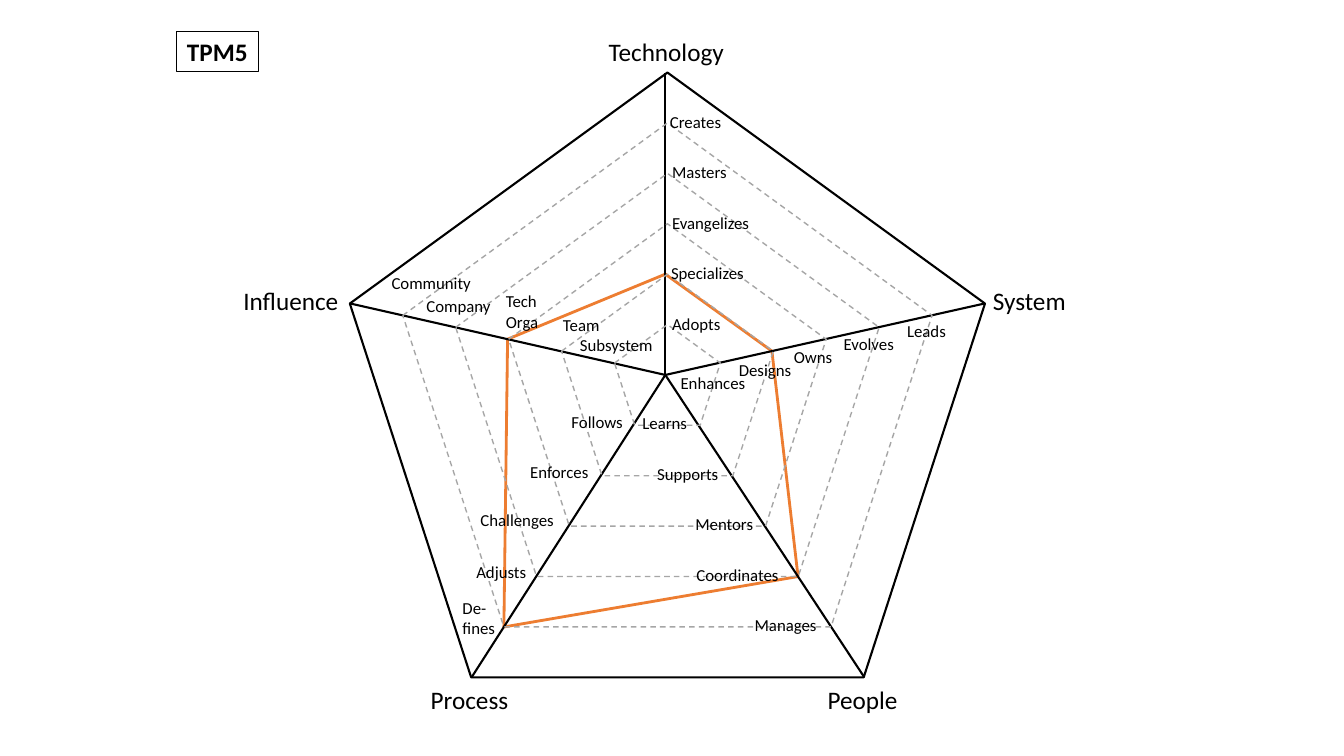
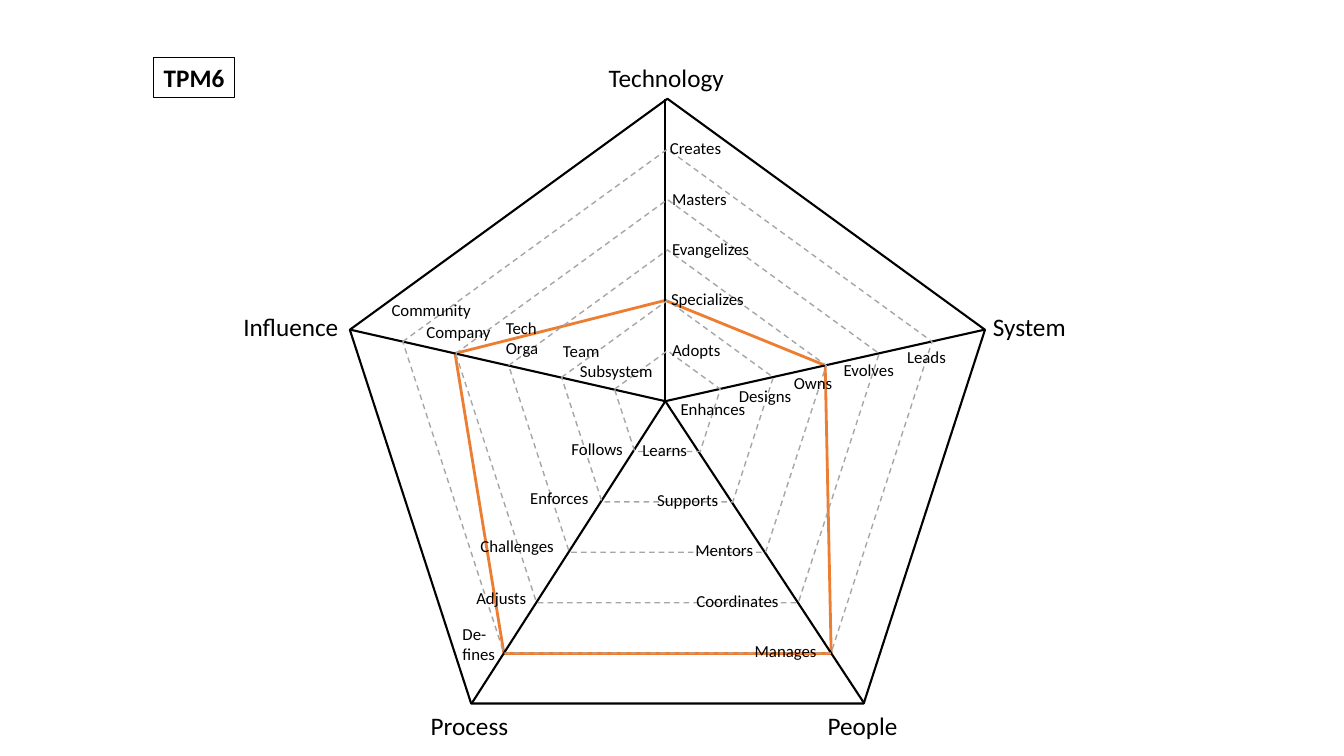
from lxml.etree import SubElement
from pptx import Presentation
from pptx.dml.color import RGBColor
from pptx.enum.dml import MSO_LINE as Dash
from pptx.enum.shapes import MSO_CONNECTOR as Link, MSO_SHAPE as Form
from pptx.enum.text import MSO_ANCHOR as Anchor, MSO_AUTO_SIZE as Fit, PP_ALIGN as Align
from pptx.oxml.ns import qn
from pptx.util import Inches, Pt

WIDE, HIGH = 13.33, 7.5
BLACK, GREY, ORANGE = "000000", "A6A6A6", "ED7D31"
FONT = "Calibri"
LEVELS = 6
COL, ROW = 1.05, 1
LEFT = 3.47
HUB = (2.98, 3)
TIPS = [(2.98, 0), (6, 2.29), (4.86, 6), (1.15, 6), (0, 2.29)]

AXES = [
    ("Technology", 2.35, -0.41, 1.3),
    ("System", 5.98, 2.06, 0.89),
    ("People", 4.42, 6.02, 0.86),
    ("Process", 0.67, 6.02, 0.93),
    ("Influence", -1.1, 2.06, 1.1),
]


def steps(start, gap):
    return [start + gap * i for i in range(LEVELS - 1)]


SCALES = [
    (steps(2.34, -0.5), [
        ("Adopts", 2.95, 0.66), ("Specializes", 2.94, 0.89),
        ("Evangelizes", 2.95, 0.92), ("Masters", 2.95, 0.71),
        ("Creates", 2.93, 0.69)]),
    (steps(2.93, -0.13), [
        ("Enhances", 3.03, 0.81), ("Designs", 3.58, 0.7),
        ("Owns", 4.1, 0.56), ("Evolves", 4.57, 0.68),
        ("Leads", 5.17, 0.56)]),
    (steps(3.33, 0.5), [
        ("Learns", 2.67, 0.62), ("Supports", 2.81, 0.77),
        ("Mentors", 3.17, 0.74), ("Coordinates", 3.18, 0.97),
        ("Manages", 3.73, 0.78)]),
    ([3.32, 3.81, 4.29, 4.8, 5.16], [
        ("Follows", 2, 0.69), ("Enforces", 1.61, 0.75),
        ("Challenges", 1.14, 0.9), ("Adjusts", 1.1, 0.67),
        ("De-\nfines", 0.97, 0.5)]),
    ([2.55, 2.35, 2.12, 2.16, 1.94], [
        ("Subsystem", 2.08, 0.89), ("Team", 1.92, 0.54),
        ("Tech\nOrga", 1.38, 0.52), ("Company", 0.63, 0.8),
        ("Community", 0.3, 0.95)]),
]

ROLES = [
    ("TPM5", 1.75, 0.72, [2, 2, 4, 5, 3]),
    ("TPM6", 1.52, 0.98, [2, 3, 5, 5, 4]),
]


def paint(target, color):
    target.rgb = RGBColor.from_string(color)


def stroke(line, color, width):
    paint(line.color, color)
    line.width = Pt(width)


def write(frame, text, size, fit, bold=False, align=Align.LEFT):
    frame.text = text
    frame.word_wrap = False
    frame.auto_size = fit
    for par in frame.paragraphs:
        par.alignment = align
        par.font.name = FONT
        par.font.size = Pt(size)
        par.font.bold = bold
        paint(par.font.color, BLACK)


def place(top, x, y):
    return Inches(LEFT + x * COL), Inches(top + y * ROW)


def label(slide, top, text, x, y, width, size):
    high = 0.4 if size == 18 else 0.3 + 0.2 * text.count("\n")
    box = slide.shapes.add_textbox(*place(top, x, y), Inches(width * COL), Inches(high))
    write(box.text_frame, text, size, Fit.SHAPE_TO_FIT_TEXT)


def join(slide, top, start, end, color, width):
    line = slide.shapes.add_connector(
        Link.STRAIGHT, *place(top, *start), *place(top, *end))
    stroke(line.line, color, width)
    SubElement(line._element.spPr, qn("a:effectLst"))


def ring(slide, top, level, color, width):
    inset = (LEVELS - level) / 2
    shape = slide.shapes.add_shape(
        Form.REGULAR_PENTAGON, *place(top, inset, inset),
        Inches(level * COL), Inches(level * ROW))
    shape.shadow.inherit = False
    shape.fill.background()
    stroke(shape.line, color, width)
    return shape


def badge(slide, text, left, top):
    title = slide.shapes.title
    title.left, title.top = Inches(left), Inches(top)
    title.width, title.height = Inches(0.81), Inches(0.4)
    write(title.text_frame, text, 18, Fit.NONE, True, Align.CENTER)
    title.text_frame.vertical_anchor = Anchor.MIDDLE
    stroke(title.line, BLACK, 0.75)


def profile(slide, top, scores):
    spots = [
        tuple(h + (t - h) * score / LEVELS for h, t in zip(HUB, tip))
        for tip, score in zip(TIPS, scores)
    ]
    for start, end in zip(spots, spots[1:] + spots[:1]):
        join(slide, top, start, end, ORANGE, 2)


def web(slide, top):
    ring(slide, top, LEVELS, BLACK, 1.5)
    for tip in TIPS:
        join(slide, top, HUB, tip, BLACK, 1.5)
    for level in range(LEVELS - 1, 0, -1):
        ring(slide, top, level, GREY, 1).line.dash_style = Dash.DASH


def names(slide, top):
    for text, x, y, width in AXES:
        label(slide, top, text, x, y, width, 18)
    for rows, words in SCALES:
        for y, (text, x, width) in zip(rows, words):
            label(slide, top, text, x, y, width, 12)


def radar(deck, role, left, top, scores):
    slide = deck.slides.add_slide(deck.slide_layouts[5])
    badge(slide, role, left, top - 0.41)
    profile(slide, top, scores)
    web(slide, top)
    names(slide, top)


deck = Presentation()
deck.slide_width, deck.slide_height = Inches(WIDE), Inches(HIGH)
for role in ROLES:
    radar(deck, *role)
deck.save("out.pptx")
